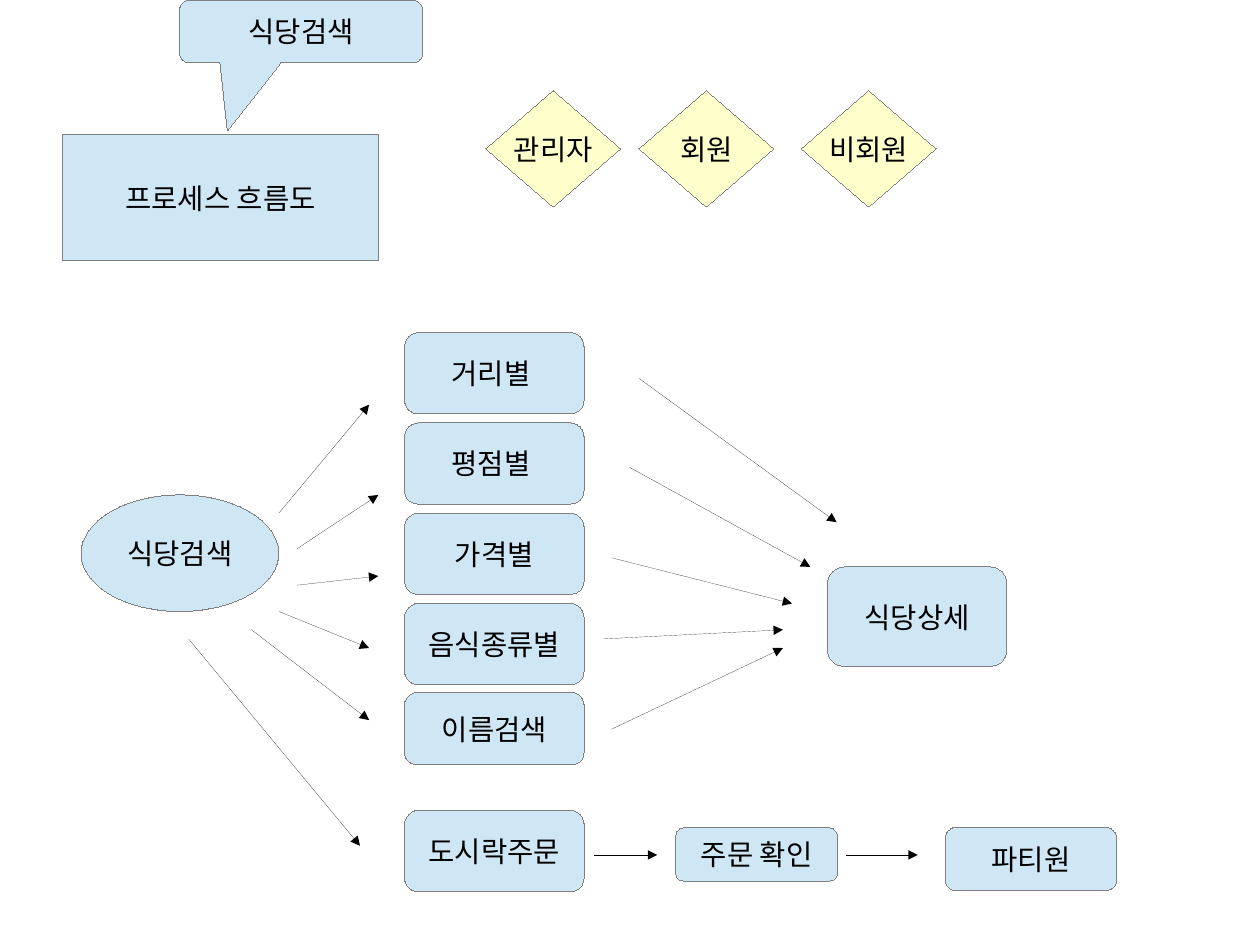
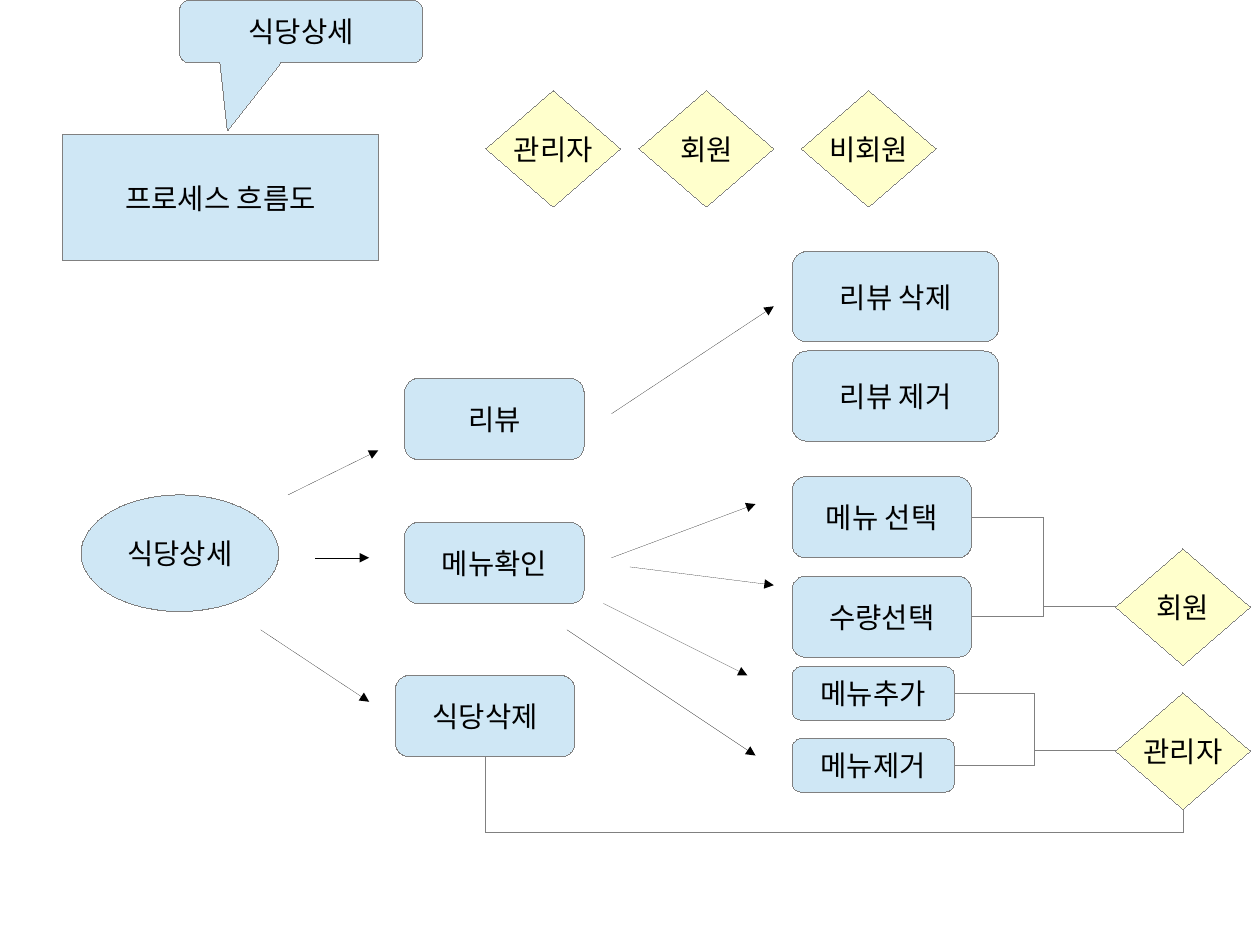
from dataclasses import dataclass

from lxml.etree import SubElement
from pptx import Presentation
from pptx.dml.color import RGBColor
from pptx.enum.shapes import MSO_CONNECTOR, MSO_SHAPE
from pptx.enum.text import MSO_ANCHOR, PP_ALIGN
from pptx.oxml.ns import qn
from pptx.shapes.autoshape import Shape
from pptx.shapes.connector import Connector
from pptx.slide import Slide
from pptx.util import Inches, Pt

COLORS = {"blue": "CFE7F5", "yellow": "FFFFCC", "outline": "808080", "ink": "000000"}
FONT = "Noto Sans CJK KR"
FONT_SIZE = Pt(18)
CM_PER_INCH = 2.54
PAGE_SIZE_CM = (28, 21)
CORNER = 0.167
BOTTOM, LEFT, RIGHT = 2, 1, 3
STEP_SIZE = (1.57, 0.71)
SMALL_SIZE = (1.42, 0.47)
REVIEW_SIZE = (1.81, 0.79)
ROLE_SIZE = (1.18, 1.02)


@dataclass(frozen=True)
class Node:
    text: str
    left: float
    top: float
    size: tuple[float, float] = STEP_SIZE
    kind: MSO_SHAPE = MSO_SHAPE.ROUNDED_RECTANGLE
    color: str = "blue"
    adjustments: tuple[float, ...] = (CORNER,)
    wrap: bool = False


@dataclass(frozen=True)
class Arrow:
    start: tuple[float, float]
    end: tuple[float, float]


def role(text: str, left: float, top: float) -> Node:
    return Node(text, left, top, ROLE_SIZE, MSO_SHAPE.DIAMOND, "yellow", ())


def set_hairline(item: Shape | Connector, color: str) -> None:
    item.line.color.rgb = RGBColor.from_string(COLORS[color])
    # A zero width must be written out, or the theme width applies
    item.element.spPr.find(qn("a:ln")).set("w", "0")


def draw_node(page: Slide, node: Node) -> Shape:
    box = page.shapes.add_shape(
        node.kind, Inches(node.left), Inches(node.top), *map(Inches, node.size))
    for index, value in enumerate(node.adjustments):
        box.adjustments[index] = value
    box.shadow.inherit = False
    box.fill.solid()
    box.fill.fore_color.rgb = RGBColor.from_string(COLORS[node.color])
    set_hairline(box, "outline")
    frame = box.text_frame
    frame.text = node.text
    frame.word_wrap = node.wrap
    frame.vertical_anchor = MSO_ANCHOR.MIDDLE
    para = frame.paragraphs[0]
    para.alignment = PP_ALIGN.CENTER
    span = para.runs[0]
    span.font.size = FONT_SIZE
    span.font.name = FONT
    span.font.color.rgb = RGBColor.from_string(COLORS["ink"])
    # East Asian typeface
    SubElement(span.font._element, qn("a:ea")).set("typeface", FONT)
    return box


def draw_nodes(page: Slide, nodes: list[Node]) -> dict[str, Shape]:
    return {node.text: draw_node(page, node) for node in nodes}


def style_connector(connector: Connector, color: str) -> None:
    set_hairline(connector, color)
    SubElement(connector.element.spPr, qn("a:effectLst"))


def draw_arrows(page: Slide, arrows: list[Arrow]) -> None:
    for arrow in arrows:
        connector = page.shapes.add_connector(
            MSO_CONNECTOR.STRAIGHT, *map(Inches, arrow.start + arrow.end))
        style_connector(connector, "ink")
        outline = connector.element.spPr.find(qn("a:ln"))
        SubElement(outline, qn("a:tailEnd")).set("type", "triangle")


def join(page: Slide, first: Shape, first_side: int, last: Shape, last_side: int) -> Connector:
    connector = page.shapes.add_connector(MSO_CONNECTOR.ELBOW, 0, 0, 0, 0)
    connector.begin_connect(first, first_side)
    connector.end_connect(last, last_side)
    style_connector(connector, "outline")
    return connector


def join_below(page: Slide, first: Shape, last: Shape, bend: float) -> None:
    """Join two bottom sides by an elbow whose level run lies at bend inches."""
    connector = join(page, first, BOTTOM, last, BOTTOM)
    start_x, start_y = connector.begin_x, connector.begin_y
    across, down = connector.end_x - start_x, connector.end_y - start_y
    # The elbow preset starts sideways, so turn it by 270 degrees
    connector.left = start_x + (across - down) // 2
    connector.top = start_y + (down - across) // 2
    connector.width, connector.height = down, across
    properties = connector.element.spPr
    transform = properties.find(qn("a:xfrm"))
    transform.set("rot", str(270 * 60000))
    transform.set("flipH", "1")
    guides = properties.find(qn("a:prstGeom")).find(qn("a:avLst"))
    guide = SubElement(guides, qn("a:gd"))
    guide.set("name", "adj1")
    guide.set("fmla", f"val {round((Inches(bend) - start_y) / down * 100000)}")


def add_page(deck: Presentation, topic: str) -> Slide:
    """Add a page with the shared heading, roles and starting point."""
    page = deck.slides.add_slide(deck.slide_layouts[6])
    draw_nodes(page, [
        Node("프로세스 흐름도", 0.55, 1.18, (2.76, 1.1), MSO_SHAPE.RECTANGLE,
             adjustments=(), wrap=True),
        role("관리자", 4.25, 0.79),
        role("회원", 5.59, 0.79),
        role("비회원", 7.01, 0.79),
    ])
    draw_node(page, Node(topic, 1.57, 0, (2.13, 0.55), MSO_SHAPE.ROUNDED_RECTANGULAR_CALLOUT,
                         adjustments=(-0.303, 1.583, CORNER)))
    draw_node(page, Node(topic, 0.71, 4.33, (1.73, 1.02), MSO_SHAPE.OVAL,
                         adjustments=(), wrap=True))
    return page


def build_search_page(deck: Presentation) -> None:
    page = add_page(deck, "식당검색")
    # Search criteria, evenly stacked
    criteria = ["거리별 ", "평점별 ", "가격별", "음식종류별"]
    pitch = 0.79
    draw_nodes(page, [Node(text, 3.54, 2.91 + row * pitch)
                      for row, text in enumerate(criteria)])
    # Name search, detail and order steps
    draw_nodes(page, [
        Node("이름검색", 3.54, 6.06, (1.57, 0.63)),
        Node("식당상세", 7.24, 4.96, (1.57, 0.87)),
        Node("도시락주문", 3.54, 7.09),
        Node("주문 확인", 5.91, 7.24, SMALL_SIZE),
        Node("파티원", 8.27, 7.24, (1.5, 0.55)),
    ])
    draw_arrows(page, [
        # From the start
        Arrow((2.44, 4.49), (3.23, 3.54)),
        Arrow((2.6, 4.8), (3.31, 4.33)),
        Arrow((2.6, 5.12), (3.31, 5.04)),
        Arrow((2.44, 5.35), (3.23, 5.67)),
        Arrow((2.2, 5.51), (3.23, 6.3)),
        Arrow((1.65, 5.59), (3.15, 7.4)),
        # To the detail
        Arrow((5.59, 3.31), (7.32, 4.57)),
        Arrow((5.51, 4.09), (7.09, 4.96)),
        Arrow((5.35, 4.88), (6.93, 5.28)),
        Arrow((5.28, 5.59), (6.85, 5.51)),
        Arrow((5.35, 6.38), (6.85, 5.67)),
        # Along the order
        Arrow((5.2, 7.48), (5.75, 7.48)),
        Arrow((7.4, 7.48), (8.03, 7.48)),
    ])


def build_detail_page(deck: Presentation) -> None:
    page = add_page(deck, "식당상세")
    boxes = draw_nodes(page, [
        # Main steps
        Node("리뷰", 3.54, 3.31),
        Node("메뉴확인", 3.54, 4.57),
        Node("식당삭제", 3.46, 5.91),
        # Actions
        Node("리뷰 삭제", 6.93, 2.2, REVIEW_SIZE),
        Node("리뷰 제거", 6.93, 3.07, REVIEW_SIZE),
        Node("메뉴 선택", 6.93, 4.17),
        Node("수량선택", 6.93, 5.04),
        Node("메뉴추가", 6.93, 5.83, SMALL_SIZE),
        Node("메뉴제거", 6.93, 6.46, SMALL_SIZE),
        # Roles allowed to act
        role("회원", 9.76, 4.8),
        role("관리자", 9.76, 6.06),
    ])
    draw_arrows(page, [
        # From the start
        Arrow((2.52, 4.33), (3.31, 3.94)),
        Arrow((2.76, 4.88), (3.23, 4.88)),
        Arrow((2.28, 5.51), (3.23, 6.14)),
        # To the actions
        Arrow((5.35, 3.62), (6.77, 2.68)),
        Arrow((5.35, 4.88), (6.61, 4.41)),
        Arrow((5.51, 4.96), (6.77, 5.12)),
        Arrow((5.28, 5.28), (6.54, 5.91)),
        Arrow((4.96, 5.51), (6.61, 6.61)),
    ])
    # Links between actions and roles
    for action, owner in [("메뉴 선택", "회원"), ("수량선택", "회원"),
                          ("메뉴추가", "관리자"), ("메뉴제거", "관리자")]:
        join(page, boxes[action], RIGHT, boxes[owner], LEFT)
    join_below(page, boxes["식당삭제"], boxes["관리자"], 7.28)


def main() -> None:
    deck = Presentation()
    deck.slide_width, deck.slide_height = (
        Inches(side / CM_PER_INCH) for side in PAGE_SIZE_CM)
    build_search_page(deck)
    build_detail_page(deck)
    deck.save("out.pptx")


if __name__ == "__main__":
    main()
